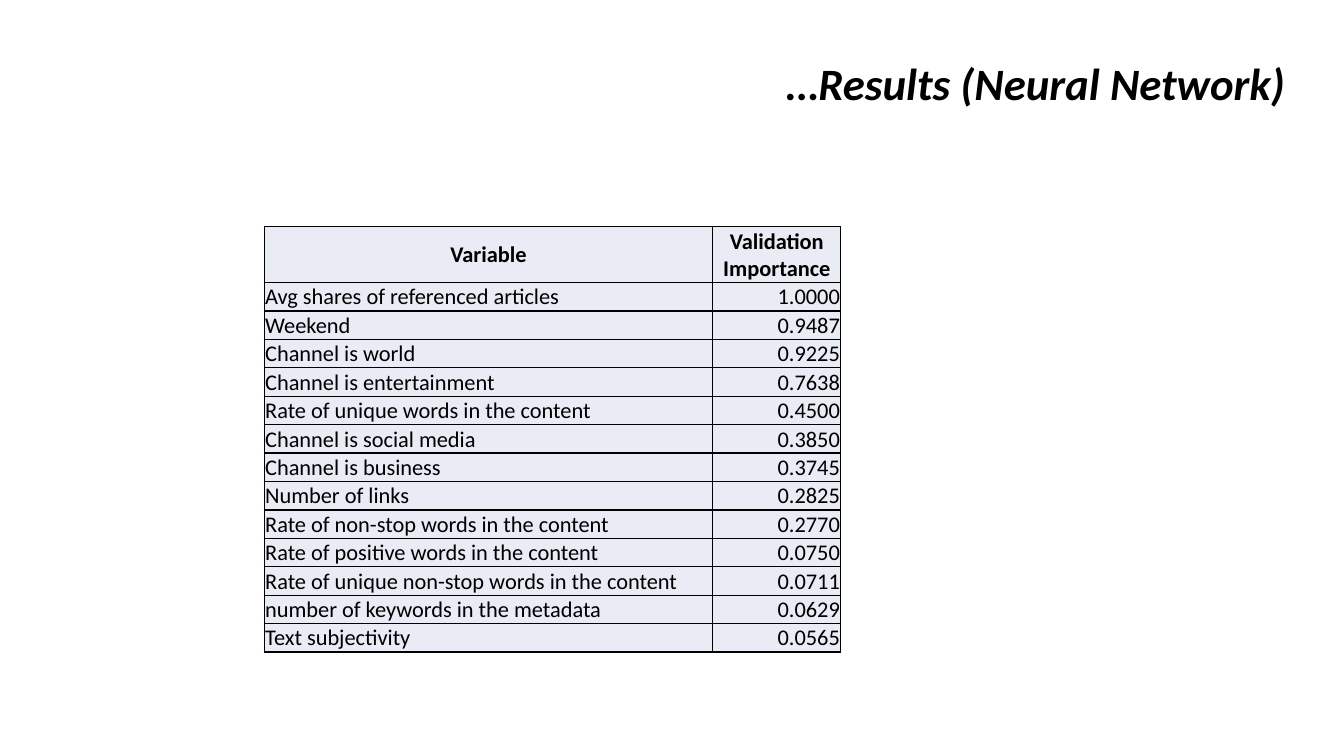
from lxml import etree
from pptx import Presentation
from pptx.dml.color import RGBColor
from pptx.enum.text import MSO_ANCHOR, PP_ALIGN
from pptx.oxml.ns import qn
from pptx.util import Inches, Pt

LEFT, CENTER, RIGHT = PP_ALIGN.LEFT, PP_ALIGN.CENTER, PP_ALIGN.RIGHT
MIDDLE, BOTTOM = MSO_ANCHOR.MIDDLE, MSO_ANCHOR.BOTTOM
FONT = "Calibri"
COLORS = {"text": "000000", "border": "000000", "cell": "E9EBF5"}

ROWS = [
    ("Variable", "Validation Importance"),
    ("Avg shares of referenced articles", "1.0000"),
    ("Weekend", "0.9487"),
    ("Channel is world", "0.9225"),
    ("Channel is entertainment", "0.7638"),
    ("Rate of unique words in the content", "0.4500"),
    ("Channel is social media", "0.3850"),
    ("Channel is business", "0.3745"),
    ("Number of links", "0.2825"),
    ("Rate of non-stop words in the content", "0.2770"),
    ("Rate of positive words in the content", "0.0750"),
    ("Rate of unique non-stop words in the content", "0.0711"),
    ("number of keywords in the metadata", "0.0629"),
    ("Text subjectivity", "0.0565"),
]


def add_span(para, text, size, bold, italic=False):
    span = para.add_run()
    span.text = text
    span.font.name = FONT
    span.font.size = Pt(size)
    span.font.bold = bold
    span.font.italic = italic
    span.font.color.rgb = RGBColor.from_string(COLORS["text"])


def add_borders(cell):
    properties = cell._tc.get_or_add_tcPr()
    for side in ("a:lnL", "a:lnR", "a:lnT", "a:lnB"):
        line = etree.SubElement(properties, qn(side), w=str(Pt(1)))
        fill = etree.SubElement(line, qn("a:solidFill"))
        etree.SubElement(fill, qn("a:srgbClr"), val=COLORS["border"])


deck = Presentation()
deck.slide_width = Inches(13.33)
deck.slide_height = Inches(7.5)
page = deck.slides.add_slide(deck.slide_layouts[6])

frame = page.shapes.add_table(
    len(ROWS), 2, Inches(2.62), Inches(2.25), Inches(5.73), Inches(4.15)
)
table = frame.table
for column, width in zip(table.columns, (4.45, 1.27)):
    column.width = Inches(width)
for row in table.rows:
    row.height = Inches(0.21)
frame.height = Inches(4.15)

for row_index, texts in enumerate(ROWS):
    header = row_index == 0
    alignments = (CENTER, CENTER) if header else (LEFT, RIGHT)
    for column_index, text in enumerate(texts):
        cell = table.cell(row_index, column_index)
        cell.margin_left = cell.margin_right = cell.margin_top = Inches(0.01)
        cell.margin_bottom = Inches(0)
        cell.vertical_anchor = MIDDLE if header else BOTTOM
        add_borders(cell)
        cell.fill.solid()
        cell.fill.fore_color.rgb = RGBColor.from_string(COLORS["cell"])
        para = cell.text_frame.paragraphs[0]
        para.alignment = alignments[column_index]
        add_span(para, text, 16, header)

box = page.shapes.add_textbox(Inches(1.35), Inches(0.39), Inches(11.5), Inches(0.93))
box.text_frame.word_wrap = True
box.text_frame.vertical_anchor = MIDDLE
para = box.text_frame.paragraphs[0]
para.alignment = RIGHT
para.line_spacing = 0.9
add_span(para, "…Results (Neural Network)", 32, True, True)

deck.save("out.pptx")
